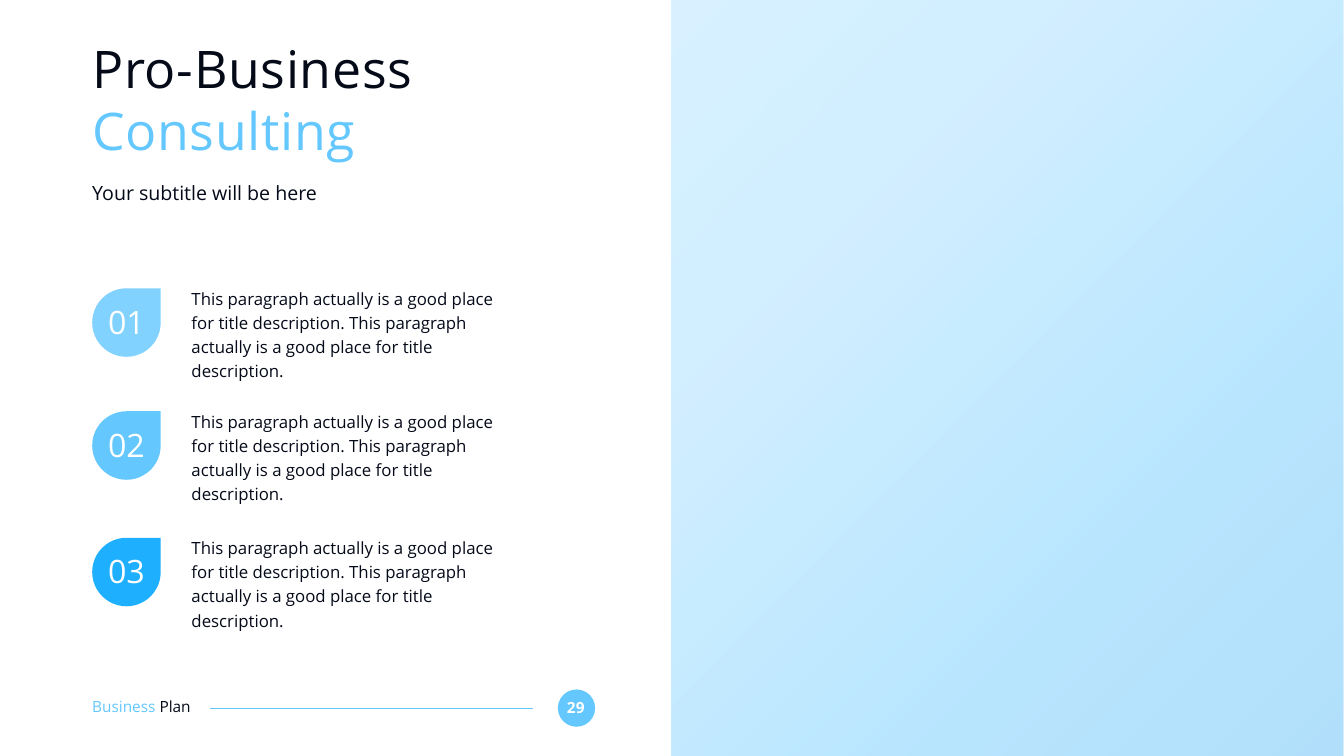
from dataclasses import dataclass

from lxml.etree import SubElement
from pptx import Presentation
from pptx.dml.color import RGBColor
from pptx.enum.shapes import MSO_CONNECTOR, MSO_SHAPE
from pptx.enum.text import PP_ALIGN
from pptx.oxml.ns import qn
from pptx.util import Inches, Pt


@dataclass(frozen=True)
class Theme:
    font: str = "Open Sans"
    ink: str = "050A19"
    white: str = "FFFFFF"
    pale: str = "81D2FF"
    sky: str = "64C8FF"
    bright: str = "1EAFFF"
    deep: str = "0096F0"
    title_size: int = 74
    number_size: int = 46
    subtitle_size: int = 28
    body_size: int = 24
    footer_size: int = 22


class SlideBuilder:
    def __init__(self, slide, theme):
        self.slide = slide
        self.theme = theme

    def shape(self, kind, left, top, width, height, color):
        shape = self.slide.shapes.add_shape(
            kind, Inches(left), Inches(top), Inches(width), Inches(height))
        shape.shadow.inherit = False
        shape.fill.solid()
        shape.fill.fore_color.rgb = RGBColor.from_string(color)
        shape.line.fill.background()
        return shape

    def gradient_panel(self, left, top, width, height, stops, opacity, angle):
        panel = self.shape(MSO_SHAPE.RECTANGLE, left, top, width, height, self.theme.white)
        panel.fill.gradient()
        gradient = panel.fill._fill._gradFill
        stop_list = gradient.find(qn("a:gsLst"))
        for stop in list(stop_list):
            stop_list.remove(stop)
        for position, color in stops:
            stop = SubElement(stop_list, qn("a:gs"), pos=str(position * 1000))
            fill_color = SubElement(stop, qn("a:srgbClr"), val=color)
            SubElement(fill_color, qn("a:alpha"), val=str(opacity * 1000))
        gradient.find(qn("a:lin")).set("ang", str(angle * 60000))

    def text(self, left, top, width, height, parts, size, align=PP_ALIGN.LEFT,
             bold=False, line_spacing=1.0, letter_spacing=0):
        """Parts are (wording, color) pairs set in one paragraph."""
        box = self.slide.shapes.add_textbox(
            Inches(left), Inches(top), Inches(width), Inches(height))
        frame = box.text_frame
        frame.word_wrap = True
        frame.margin_left = frame.margin_right = 0
        frame.margin_top = frame.margin_bottom = 0
        paragraph = frame.paragraphs[0]
        paragraph.alignment = align
        paragraph.line_spacing = line_spacing
        for wording, color in parts:
            run = paragraph.add_run()
            run.text = wording
            run.font.name = self.theme.font
            run.font.size = Pt(size)
            run.font.bold = bold
            run.font.color.rgb = RGBColor.from_string(color)
            if letter_spacing:
                run.font._element.set("spc", str(letter_spacing * 100))

    def line(self, start_x, end_x, y, color, weight):
        connector = self.slide.shapes.add_connector(
            MSO_CONNECTOR.STRAIGHT, Inches(start_x), Inches(y), Inches(end_x), Inches(y))
        connector.line.color.rgb = RGBColor.from_string(color)
        connector.line.width = Pt(weight)
        SubElement(connector._element.spPr, qn("a:effectLst"))

    def item(self, left, top, number, description, color):
        theme = self.theme
        self.text(left + 1.97, top - 0.08, 6.28, 1.42, [(description, theme.ink)],
                  theme.body_size, line_spacing=1.2)
        self.shape(MSO_SHAPE.TEAR, left, top, 1.36, 1.36, color)
        self.text(left + 0.13, top + 0.27, 1.1, 0.77, [(number, theme.white)],
                  theme.number_size, PP_ALIGN.CENTER)


def main():
    presentation = Presentation()
    presentation.slide_width = Inches(26.67)
    presentation.slide_height = Inches(15)
    theme = Theme()
    slide = presentation.slides.add_slide(presentation.slide_layouts[6])
    builder = SlideBuilder(slide, theme)
    margin = 1.83

    # Footer
    builder.shape(MSO_SHAPE.OVAL, 11.07, 13.68, 0.74, 0.74, theme.sky)
    builder.text(11.13, 13.85, 0.59, 0.37, [("29", theme.white)],
                 theme.footer_size, PP_ALIGN.CENTER, bold=True)
    builder.line(10.57, 4.16, 14.05, theme.sky, 1.5)
    builder.text(margin, 13.84, 2.59, 0.37,
                 [("Business ", theme.sky), ("Plan", theme.ink)], theme.footer_size)

    # Right half
    builder.gradient_panel(
        13.33, 0, 13.33, 15,
        [(0, theme.pale), (33, theme.sky), (66, theme.bright), (100, theme.deep)],
        opacity=30, angle=45)

    # Heading
    builder.text(margin, 0.73, 9.9, 2.52,
                 [("Pro-Business ", theme.ink), ("Consulting", theme.sky)],
                 theme.title_size, letter_spacing=1)
    builder.text(margin, 3.59, 9.9, 0.49,
                 [("Your subtitle will be here", theme.ink)], theme.subtitle_size)

    # Numbered items
    sentence = "This paragraph actually is a good place for title description."
    description = f"{sentence} {sentence}"
    items = [(5.72, theme.pale), (8.16, theme.sky), (10.67, theme.bright)]
    for index, (top, color) in enumerate(items, start=1):
        builder.item(margin, top, f"{index:02d}", description, color)

    presentation.save("out.pptx")


if __name__ == "__main__":
    main()
